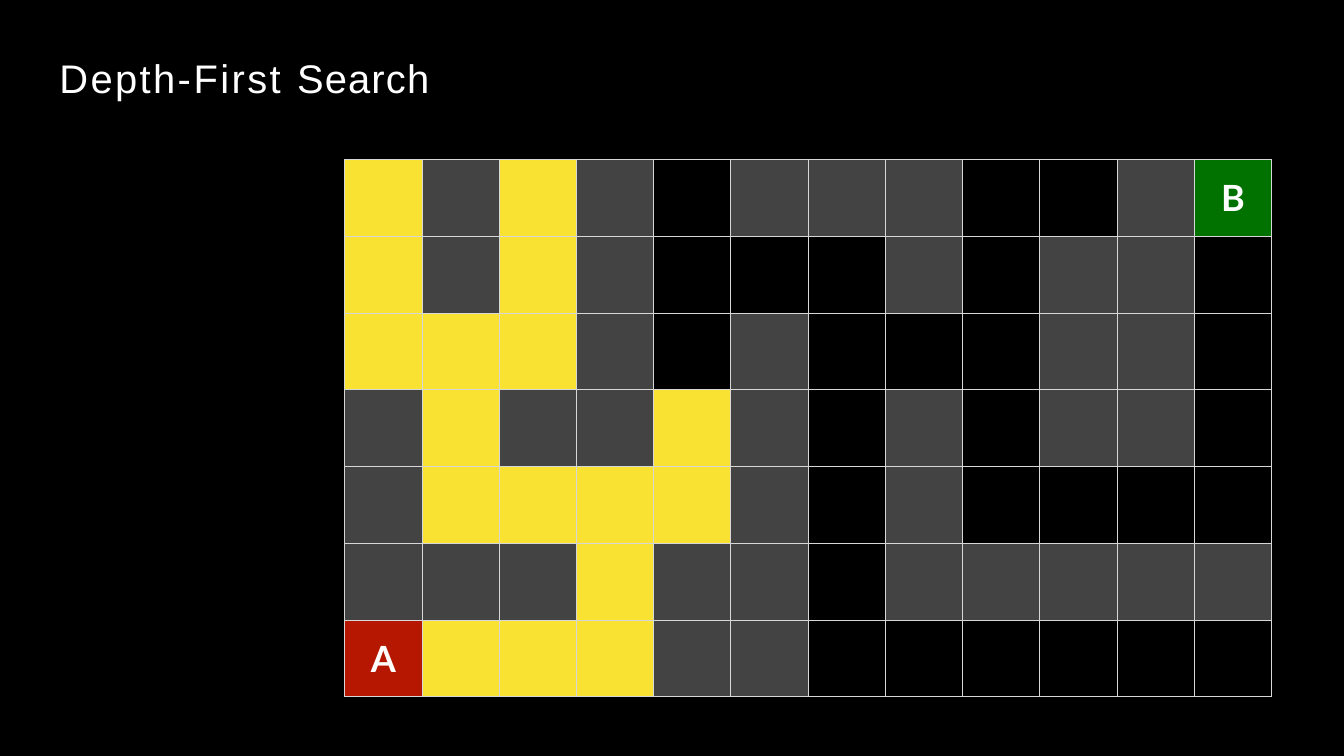
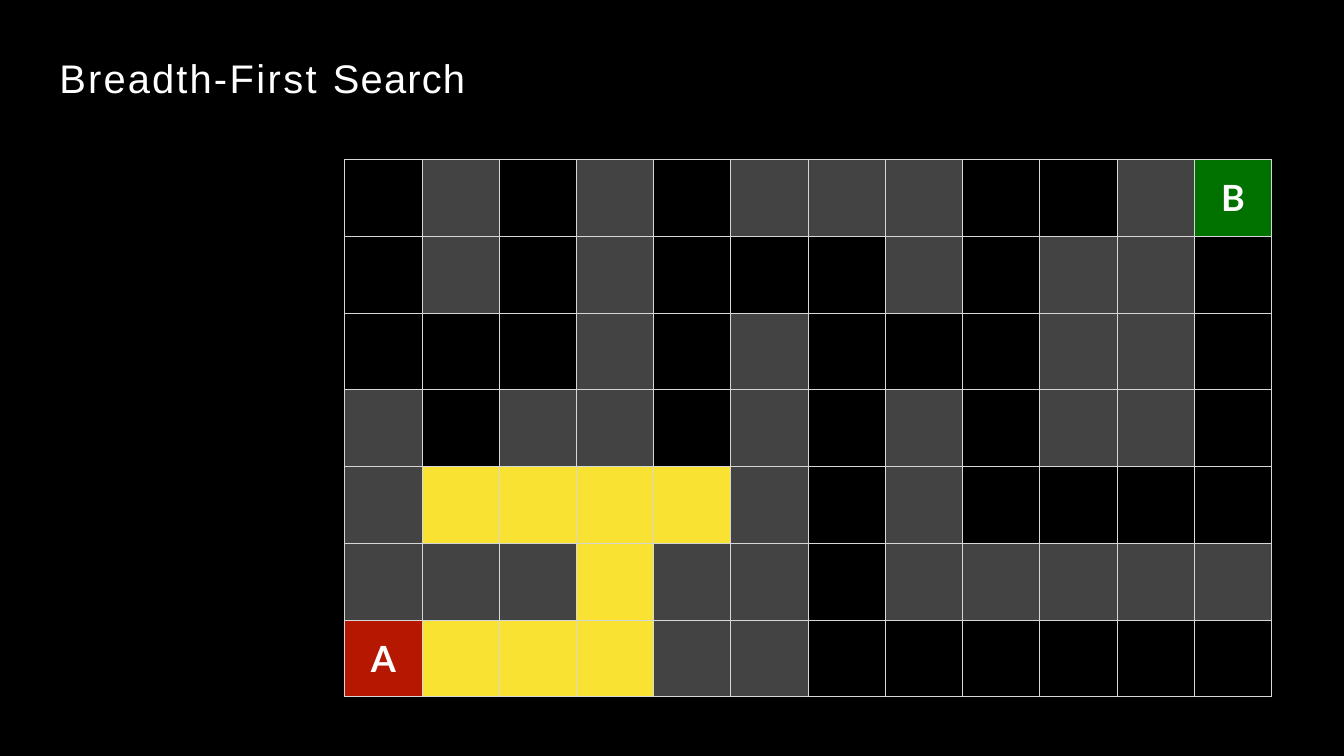
from lxml import etree
from pptx import Presentation
from pptx.dml.color import RGBColor
from pptx.enum import text
from pptx.oxml import ns
from pptx.util import Pt

BLACK, WHITE = "000000", "FFFFFF"
WALL, EXPLORED, START, GOAL, GRID_LINE = "434343", "FAE232", "B51700", "017100", "D6D7D6"

# "#" wall, "." unexplored, "e" explored by both searches, "d" by depth-first only
MAZE = [
    "d#d#.###..#B",
    "d#d#...#.##.",
    "ddd#.#...##.",
    "#d##d#.#.##.",
    "#eeee#.#....",
    "###e##.#####",
    "Aeee##......",
]
SHARED_FILLS = {"#": WALL, "e": EXPLORED, "A": START, "B": GOAL}
LABEL_SPACING = {"A": 4.2, "B": 1.2}
COLUMN_WIDTH, ROW_HEIGHT = 91, 90.4


def color(hex_value):
    return RGBColor.from_string(hex_value)


def add_text(paragraph, content, size, font, spacing=0, bold=False, fill=WHITE):
    """Append a run; spacing is the extra space between letters in points."""
    run = paragraph.add_run()
    run.text = content
    run.font.size = Pt(size)
    run.font.name = font
    run.font.bold = bold
    run.font.color.rgb = color(fill)
    run.font._element.set("spc", str(round(spacing * 100)))


def set_borders(cell, hex_value, width):
    properties = cell._tc.get_or_add_tcPr()
    for side in ("lnL", "lnR", "lnT", "lnB"):
        line = etree.SubElement(properties, ns.qn(f"a:{side}"), w=str(Pt(width)))
        fill = etree.SubElement(line, ns.qn("a:solidFill"))
        etree.SubElement(fill, ns.qn("a:srgbClr"), val=hex_value)


def style_template(presentation):
    """Set the background and the title box that all slides inherit."""
    background = presentation.slide_master.background.fill
    background.solid()
    background.fore_color.rgb = color(BLACK)

    layout = presentation.slide_layouts.get_by_name("Title Only")
    title = layout.placeholders[0]
    title.left, title.top, title.width, title.height = Pt(49), Pt(31), Pt(931), Pt(128)
    frame = title.text_frame
    frame.margin_left, frame.margin_top = Pt(21), Pt(32)
    frame.margin_right = frame.margin_bottom = 0
    frame.vertical_anchor = text.MSO_ANCHOR.TOP
    frame.auto_size = text.MSO_AUTO_SIZE.NONE
    return layout


def add_title(slide, words):
    paragraph = slide.shapes.title.text_frame.paragraphs[0]
    paragraph.alignment = text.PP_ALIGN.LEFT
    for word, spacing in words:
        add_text(paragraph, word, size=47, font="Arial", spacing=spacing)


def fill_cell(cell, mark, fills):
    set_borders(cell, GRID_LINE, 1)
    if mark in fills:
        cell.fill.solid()
        cell.fill.fore_color.rgb = color(fills[mark])
    else:
        cell.fill.background()
    if mark in LABEL_SPACING:
        cell.margin_left = cell.margin_right = cell.margin_top = cell.margin_bottom = 0
        cell.vertical_anchor = text.MSO_ANCHOR.MIDDLE
        paragraph = cell.text_frame.paragraphs[0]
        paragraph.alignment = text.PP_ALIGN.CENTER
        add_text(paragraph, mark, size=42.5, font="Lato", bold=True,
                 spacing=LABEL_SPACING[mark])


def add_maze(slide, fills):
    rows, columns = len(MAZE), len(MAZE[0])
    table = slide.shapes.add_table(
        rows, columns, Pt(406), Pt(188),
        Pt(columns * COLUMN_WIDTH), Pt(rows * ROW_HEIGHT)).table
    table.first_row = table.horz_banding = False
    for column in table.columns:
        column.width = Pt(COLUMN_WIDTH)
    for row, marks in zip(table.rows, MAZE):
        row.height = Pt(ROW_HEIGHT)
        for cell, mark in zip(row.cells, marks):
            fill_cell(cell, mark, fills)


def main():
    presentation = Presentation()
    presentation.slide_width, presentation.slide_height = Pt(1583.28), Pt(890.64)
    layout = style_template(presentation)
    searches = [
        ("Depth-", 2.8, SHARED_FILLS | {"d": EXPLORED}),
        ("Breadth-", 2.5, SHARED_FILLS),
    ]
    for first_word, spacing, fills in searches:
        slide = presentation.slides.add_slide(layout)
        add_title(slide, [(first_word, spacing), ("First ", 2.9), ("Search", 1.4)])
        add_maze(slide, fills)
    presentation.save("out.pptx")


if __name__ == "__main__":
    main()
